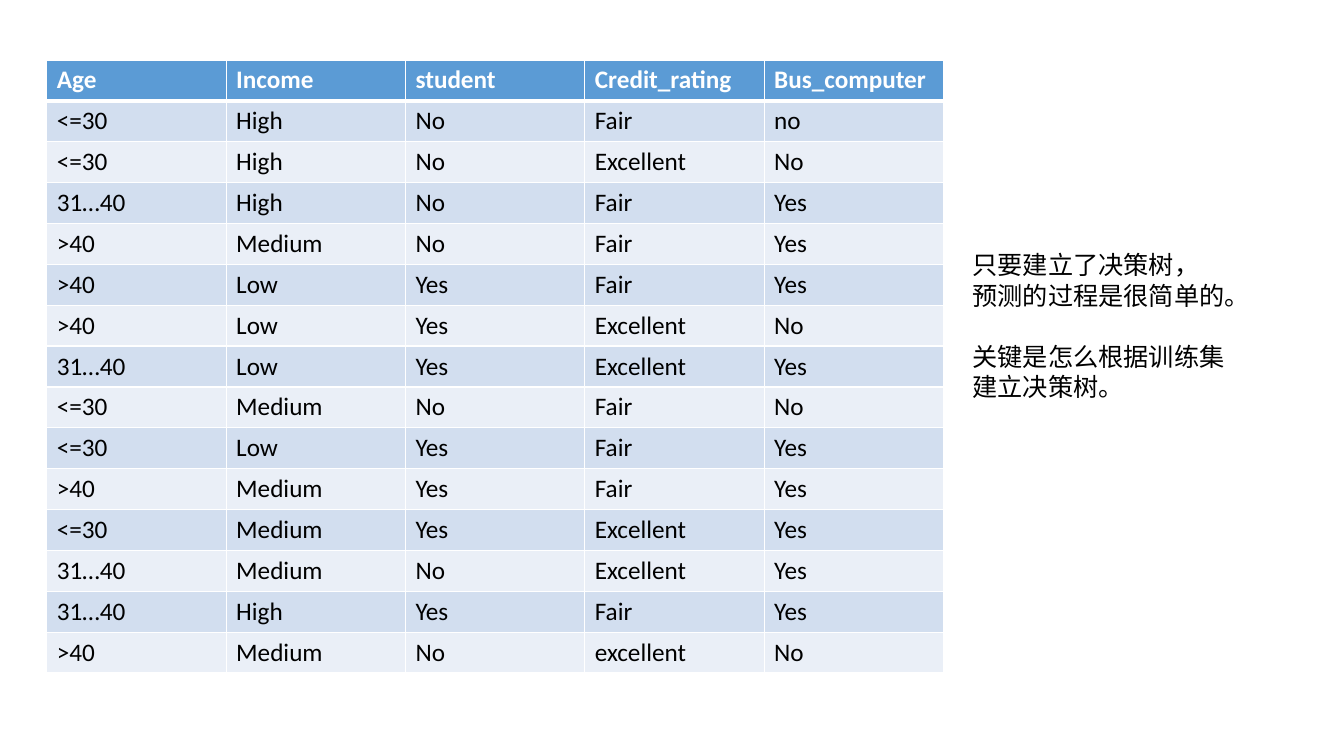
from lxml import etree
from pptx import Presentation
from pptx.dml.color import RGBColor
from pptx.enum import text
from pptx.oxml import ns
from pptx.util import Cm, Pt

WHITE = RGBColor(0xFF, 0xFF, 0xFF)
BLACK = RGBColor(0, 0, 0)
HEADER_BLUE = RGBColor(0x5B, 0x9B, 0xD5)
BANDS = (RGBColor(0xD2, 0xDE, 0xEF), RGBColor(0xEA, 0xEF, 0xF7))

HEADINGS = "Age Income student Credit_rating Bus_computer".split()
CUSTOMERS = [line.split() for line in """
<=30 High No Fair no
<=30 High No Excellent No
31…40 High No Fair Yes
>40 Medium No Fair Yes
>40 Low Yes Fair Yes
>40 Low Yes Excellent No
31…40 Low Yes Excellent Yes
<=30 Medium No Fair No
<=30 Low Yes Fair Yes
>40 Medium Yes Fair Yes
<=30 Medium Yes Excellent Yes
31…40 Medium No Excellent Yes
31…40 High Yes Fair Yes
>40 Medium No excellent No
""".strip().splitlines()]
REMARKS = ["只要建立了决策树，", "预测的过程是很简单的。", "关键是怎么根据训练集建立决策树。"]


class Page:
    """Holds the text style and the current slide."""
    size = Pt(18)
    table_font = "Calibri"
    remark_font = "Noto Sans CJK SC"

    def __init__(self, deck):
        self.slide = deck.slides.add_slide(deck.slide_layouts[6])

    def style(self, paragraph, font, color, bold=False):
        for span in paragraph.runs:
            span.font.name = font
            span.font.size = self.size
            span.font.bold = bold
            span.font.color.rgb = color
            east_asian = etree.SubElement(span._r.get_or_add_rPr(), ns.qn("a:ea"))
            east_asian.set("typeface", font)

    def border(self, cell, side, width):
        properties = cell._tc.get_or_add_tcPr()
        line = etree.SubElement(properties, ns.qn("a:ln" + side), w=str(Pt(width)))
        fill = etree.SubElement(line, ns.qn("a:solidFill"))
        etree.SubElement(fill, ns.qn("a:srgbClr"), val=str(WHITE))

    def table(self, rows, left, top, column_width, row_height):
        columns = len(rows[0])
        table = self.slide.shapes.add_table(
            len(rows), columns, left, top,
            column_width * columns, row_height * len(rows)).table
        for column in table.columns:
            column.width = column_width
        for r, values in enumerate(rows):
            table.rows[r].height = row_height
            for c, value in enumerate(values):
                cell = table.cell(r, c)
                cell.text_frame.text = value
                header = r == 0
                self.style(cell.text_frame.paragraphs[0], self.table_font,
                           WHITE if header else BLACK, bold=header)
                for side in "LRTB":
                    heavy = (r, side) in ((0, "B"), (1, "T"))
                    self.border(cell, side, 3 if heavy else 1)
                cell.fill.solid()
                cell.fill.fore_color.rgb = HEADER_BLUE if header else BANDS[(r - 1) % 2]

    def remarks(self, lines, left, top, width, height):
        box = self.slide.shapes.add_textbox(left, top, width, height)
        frame = box.text_frame
        frame.word_wrap = True
        frame.auto_size = text.MSO_AUTO_SIZE.SHAPE_TO_FIT_TEXT
        frame.text = "\n".join(lines)
        for paragraph in frame.paragraphs:
            self.style(paragraph, self.remark_font, BLACK)
        # One line of space sets the conclusion apart
        frame.paragraphs[-1].space_before = Pt(22)


deck = Presentation()
deck.slide_width, deck.slide_height = Cm(33.87), Cm(19.05)
page = Page(deck)

# Training set
page.table([HEADINGS] + CUSTOMERS, Cm(1.18), Cm(1.51), Cm(4.52), Cm(1.03))

# Remarks beside the table
page.remarks(REMARKS, Cm(24.26), Cm(6.17), Cm(7.24), Cm(4.11))

deck.save("out.pptx")
